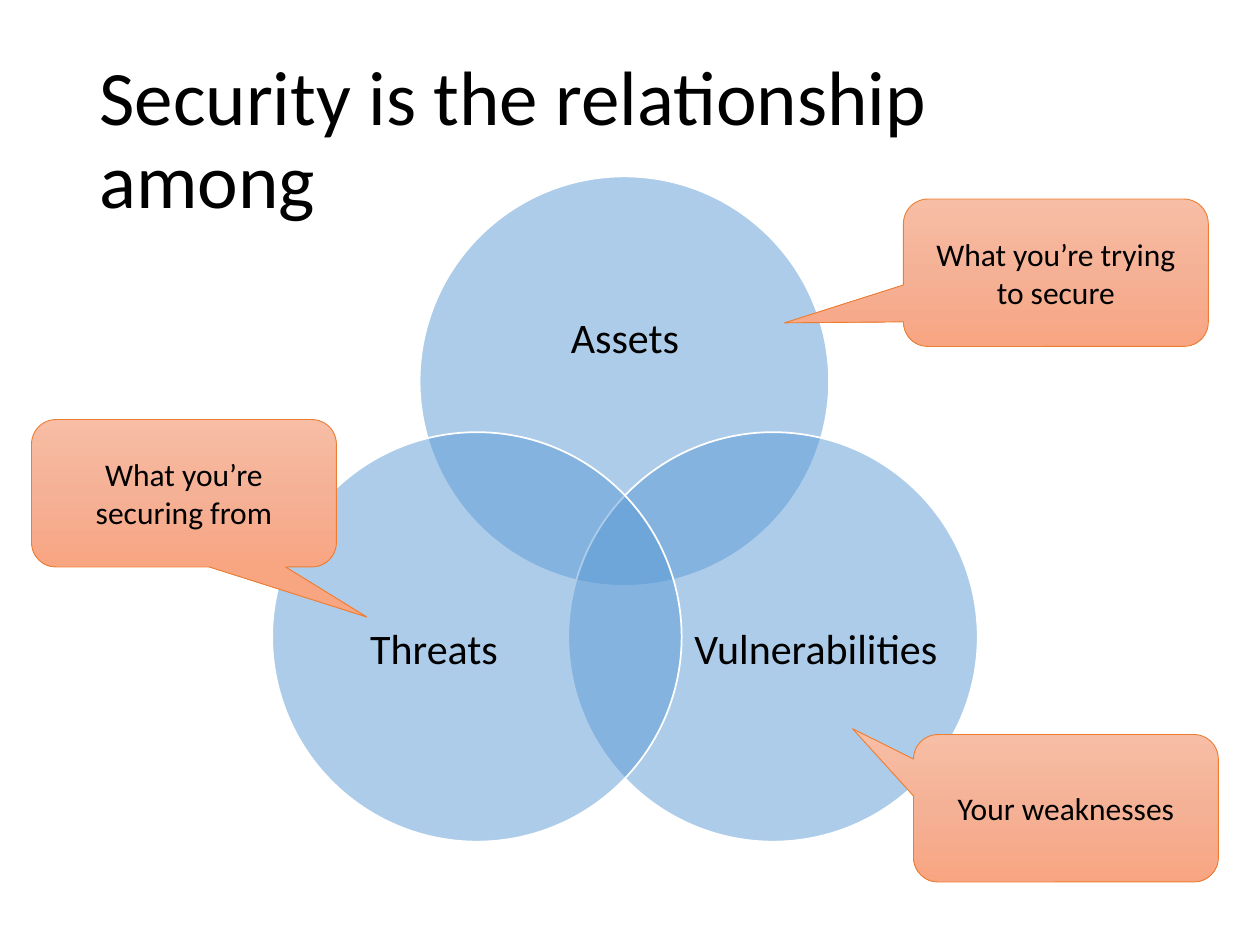
from copy import deepcopy
from pptx import Presentation
from pptx.dml.color import RGBColor
from pptx.enum.shapes import MSO_SHAPE
from pptx.enum.text import MSO_ANCHOR, PP_ALIGN
from pptx.oxml.ns import qn
from pptx.oxml.xmlchemy import OxmlElement
from pptx.util import Inches, Pt


def color(code):
    return RGBColor.from_string(code)


def write(frame, text, size, align=PP_ALIGN.CENTER):
    frame.word_wrap = True
    frame.vertical_anchor = MSO_ANCHOR.MIDDLE
    para = frame.paragraphs[0]
    para.alignment = align
    run = para.add_run()
    run.text = text
    run.font.size = Pt(size)
    run.font.name = "Calibri"
    run.font.color.rgb = color("000000")
    return para


deck = Presentation()
deck.slide_width = Inches(10)
deck.slide_height = Inches(7.5)
slide = deck.slides.add_slide(deck.slide_layouts[5])

title = slide.shapes.title
title.left, title.top = Inches(0.69), Inches(0.4)
title.width, title.height = Inches(8.62), Inches(1.45)
para = write(title.text_frame, "Security is the relationship among", 44, PP_ALIGN.LEFT)
para.line_spacing = 0.9

venn = slide.shapes.add_group_shape()
circles = [
    ("Assets", 3.33, 1.4, (3.77, 1.97, 2.38, 1.46)),
    ("Vulnerabilities", 4.51, 3.43, (5.5, 4.27, 1.95, 1.79)),
    ("Threats", 2.16, 3.43, (2.47, 4.27, 1.95, 1.79)),
]
for name, left, top, area in circles:
    circle = venn.shapes.add_shape(
        MSO_SHAPE.OVAL, Inches(left), Inches(top), Inches(3.25), Inches(3.25))
    circle.shadow.inherit = False
    circle.fill.solid()
    circle.fill.fore_color.rgb = color("5B9BD5")
    alpha = OxmlElement("a:alpha")
    alpha.set("val", "50000")
    circle.fill._xPr.find(qn("a:solidFill"))[0].append(alpha)
    circle.line.color.rgb = color("FFFFFF")
    circle.line.width = Pt(1)

    label = venn.shapes.add_textbox(*[Inches(v) for v in area])
    frame = label.text_frame
    frame.margin_left = frame.margin_right = 0
    frame.margin_top = frame.margin_bottom = 0
    para = write(frame, name, 24)
    para.line_spacing = 0.9

notes = [
    ("What you’re trying to secure", 7.17, 1.58, (-0.89, 0.34)),
    ("Your weaknesses", 7.25, 5.83, (-0.7, -0.54)),
    ("What you’re securing from", 0.25, 3.33, (0.6, 0.84)),
]
shades = [(0, "F7BDA5"), (0.5, "F5B196"), (1, "F8A582")]
for text, left, top, tip in notes:
    note = slide.shapes.add_shape(
        MSO_SHAPE.ROUNDED_RECTANGULAR_CALLOUT,
        Inches(left), Inches(top), Inches(2.42), Inches(1.17))
    note.shadow.inherit = False
    note.adjustments[0], note.adjustments[1] = tip
    note.fill.gradient()
    note.fill.gradient_angle = 270
    stops = note.fill._xPr.find(qn("a:gradFill")).find(qn("a:gsLst"))
    stops.insert(1, deepcopy(stops[0]))
    for stop, (place, shade) in zip(note.fill.gradient_stops, shades):
        stop.position = place
        stop.color.rgb = color(shade)
    note.line.color.rgb = color("ED7D31")
    note.line.width = Pt(0.5)
    write(note.text_frame, text, 18)

deck.save("out.pptx")
